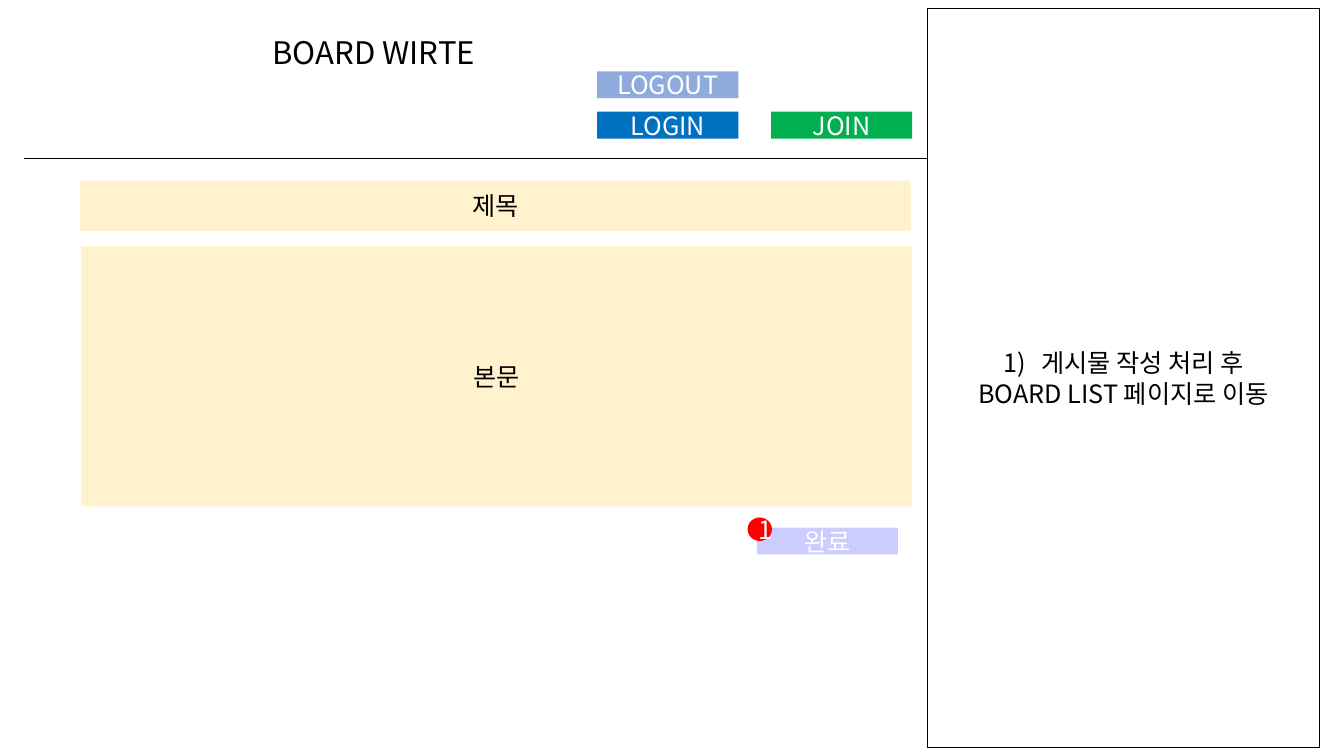
"""Build the board writing page wireframe with its description panel."""
import dataclasses

import lxml.etree
import pptx
import pptx.dml.color
import pptx.enum.shapes
import pptx.enum.text
import pptx.oxml.ns
import pptx.slide
import pptx.text.text
import pptx.util

COLORS = {
    "black": "000000", "white": "FFFFFF", "blue": "0070C0", "green": "00B050",
    "pale blue": "8FAADC", "cream": "FFF2CC", "lilac": "CCCCFF", "red": "FF0000",
}
FONT = "Noto Sans CJK KR"
SLIDE_WIDTH = pptx.util.Inches(13.333)
SLIDE_HEIGHT = pptx.util.Inches(7.5)
COLUMN = SLIDE_WIDTH / 160
ROW = SLIDE_HEIGHT / 90
BUTTON_SIZE = (16.8, 3.2)
FIELD_WIDTH = 98.9
PANEL_LEFT = 110.4
HEADER_BOTTOM = 18.8
RECTANGLE = pptx.enum.shapes.MSO_SHAPE.RECTANGLE
OVAL = pptx.enum.shapes.MSO_SHAPE.OVAL


@dataclasses.dataclass(frozen=True)
class Block:
    """A text-bearing shape measured in grid columns and rows."""
    lines: tuple[str, ...]
    left: float
    top: float
    width: float
    height: float
    fill: str | None
    ink: str = "white"
    kind: pptx.enum.shapes.MSO_SHAPE = RECTANGLE


def button(label: str, left: float, top: float, fill: str) -> Block:
    """Describe a button of the common size."""
    return Block((label,), left, top, *BUTTON_SIZE, fill)


BLOCKS = (
    button("LOGIN", 71.1, 13.3, "blue"),
    button("JOIN", 91.8, 13.3, "green"),
    button("LOGOUT", 71.1, 8.5, "pale blue"),
    Block(("게시물 작성 처리 후", "BOARD LIST 페이지로 이동"),
          PANEL_LEFT, 1, 46.7, 88, None, "black"),
    Block(("본문",), 9.7, 29.3, FIELD_WIDTH, 31, "cream", "black"),
    button("완료", 90.1, 62.8, "lilac"),
    Block(("1",), 89, 61.6, 2.9, 2.8, "red", kind=OVAL),
    Block(("제목",), 9.5, 21.5, FIELD_WIDTH, 6, "cream", "black"),
)


def grid(*lengths: float) -> list[int]:
    """Turn alternating column and row counts into slide lengths."""
    return [round(length * (ROW if index % 2 else COLUMN))
            for index, length in enumerate(lengths)]


def rgb(name: str) -> pptx.dml.color.RGBColor:
    """Look up a named colour."""
    return pptx.dml.color.RGBColor.from_string(COLORS[name])


def write(frame: pptx.text.text.TextFrame, lines: tuple[str, ...],
          ink: str, size: float = 18) -> None:
    """Write centred paragraphs in the slide's font."""
    frame.word_wrap = True
    frame.text = "\n".join(lines)
    for paragraph in frame.paragraphs:
        paragraph.alignment = pptx.enum.text.PP_ALIGN.CENTER
        paragraph.font.size = pptx.util.Pt(size)
        paragraph.font.name = FONT
        paragraph.font.color.rgb = rgb(ink)
        east_asian = lxml.etree.SubElement(
            paragraph.font._element, pptx.oxml.ns.qn("a:ea"))
        east_asian.set("typeface", FONT)
        paragraph.font._element.find(pptx.oxml.ns.qn("a:latin")).addnext(east_asian)


def number(paragraph: pptx.text.text._Paragraph) -> None:
    """Give a paragraph a hanging automatic number."""
    properties = paragraph._p.get_or_add_pPr()
    indent = pptx.util.Inches(0.38)
    properties.set("marL", str(indent))
    properties.set("indent", str(-indent))
    bullet = lxml.etree.Element(pptx.oxml.ns.qn("a:buAutoNum"), type="arabicParenR")
    properties.insert(0, bullet)


def draw_block(slide: pptx.slide.Slide, block: Block) -> None:
    """Draw a filled block, or an outlined numbered panel when unfilled."""
    shape = slide.shapes.add_shape(
        block.kind, *grid(block.left, block.top, block.width, block.height))
    shape.shadow.inherit = False
    write(shape.text_frame, block.lines, block.ink)
    shape.text_frame.vertical_anchor = pptx.enum.text.MSO_ANCHOR.MIDDLE
    if block.fill:
        shape.fill.solid()
        shape.fill.fore_color.rgb = rgb(block.fill)
        shape.line.fill.background()
    else:
        shape.fill.background()
        shape.line.color.rgb = rgb("black")
        shape.line.width = pptx.util.Pt(1)
        number(shape.text_frame.paragraphs[0])


def draw_title(slide: pptx.slide.Slide) -> None:
    """Write the page title."""
    title = slide.shapes.add_textbox(*grid(16.7, 4.2, 55.6, 4.9))
    write(title.text_frame, ("BOARD WIRTE",), "black", 22.2)
    paragraph = title.text_frame.paragraphs[0]
    paragraph.line_spacing = 0.8
    paragraph.space_before = pptx.util.Pt(10)


def draw_divider(slide: pptx.slide.Slide) -> None:
    """Draw the rule between the header and the form."""
    divider = slide.shapes.add_connector(
        pptx.enum.shapes.MSO_CONNECTOR.STRAIGHT,
        *grid(2.9, HEADER_BOTTOM, PANEL_LEFT, HEADER_BOTTOM))
    divider.line.color.rgb = rgb("black")
    divider.line.width = pptx.util.Pt(0.5)
    lxml.etree.SubElement(divider._element.spPr, pptx.oxml.ns.qn("a:effectLst"))


def main() -> None:
    """Build and save the presentation."""
    presentation = pptx.Presentation()
    presentation.slide_width = SLIDE_WIDTH
    presentation.slide_height = SLIDE_HEIGHT
    slide = presentation.slides.add_slide(presentation.slide_layouts[6])
    draw_title(slide)
    draw_divider(slide)
    for block in BLOCKS:
        draw_block(slide, block)
    presentation.save("out.pptx")


main()
